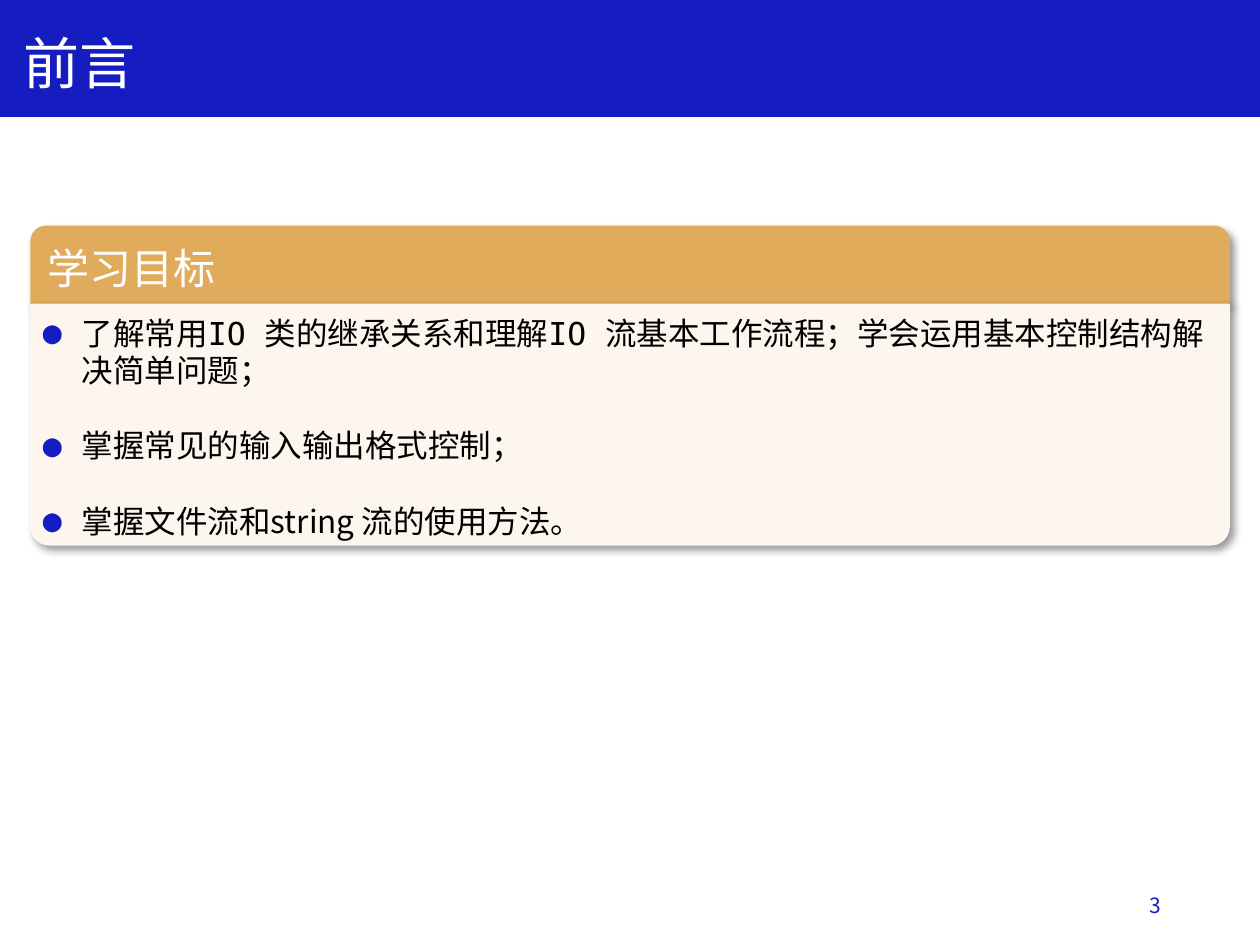
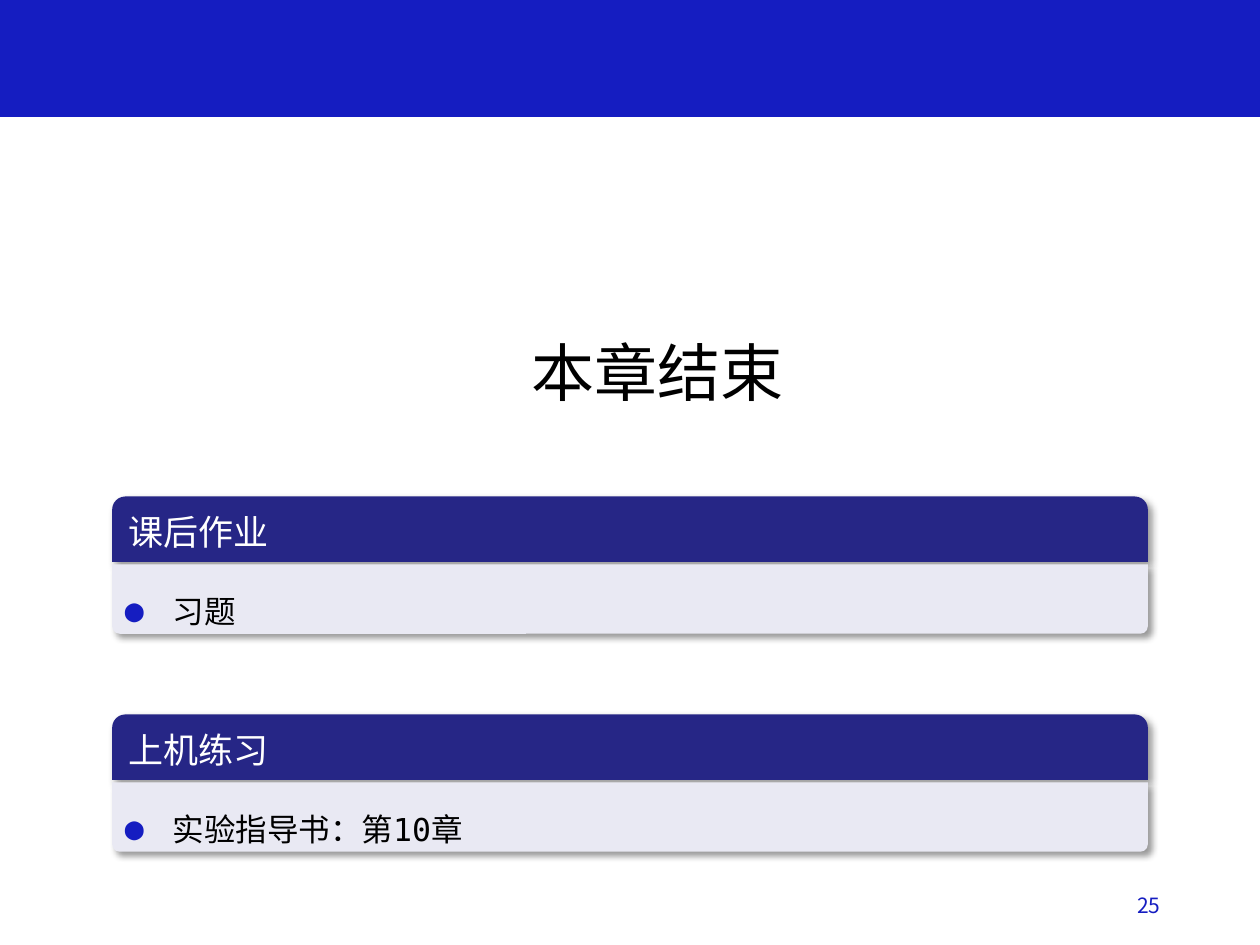
from dataclasses import dataclass

from lxml.etree import SubElement
from pptx import Presentation
from pptx.dml.color import RGBColor
from pptx.enum.shapes import MSO_SHAPE as Preset
from pptx.enum.text import MSO_ANCHOR as Anchor, PP_ALIGN as Align
from pptx.oxml import parse_xml
from pptx.oxml.ns import nsdecls, qn
from pptx.util import Inches, Pt


@dataclass(frozen=True)
class Theme:
    blue: str = "151DC1"
    navy: str = "262686"
    lavender: str = "E9E9F3"
    amber: str = "E0AB5B"
    cream: str = "FCF6EE"
    white: str = "FFFFFF"
    black: str = "000000"
    sans: str = "Noto Sans CJK SC"
    mono: str = "DejaVu Sans Mono"
    title_size: int = 32
    closing_size: int = 36
    body_size: int = 18
    number_size: int = 12
    line_pitch: float = 21.5
    inset: float = 0.1


THEME = Theme()
WIDTH, HEIGHT = 10, 7.5
BAND_HEIGHT = 0.92

GOALS = ("学习目标", [
    ("了解常用IO 类的继承关系和理解IO 流基本工作流程；学会运用基本控制结构解决简单问题；", THEME.mono),
    ("掌握常见的输入输出格式控制；", THEME.mono),
    ("掌握文件流和string 流的使用方法。", THEME.sans),
])
ASSIGNMENTS = [
    ("课后作业", [("习题", THEME.sans)]),
    ("上机练习", [("实验指导书：第10章", THEME.mono)]),
]

# Card styles: lengths in inches, radius of the lower corners included
GOALS_STYLE = dict(left=0.24, head=0.63, body=1.92, gap=-0.01, radius=0.15, top_inset=0.08,
                   indent=0.31, size=24, head_fill=THEME.amber, body_fill=THEME.cream)
ASSIGNMENT_STYLE = dict(left=0.89, head=0.52, body=0.55, gap=0.02, radius=0.06, top_inset=0.22,
                        indent=0.38, size=20, head_fill=THEME.navy, body_fill=THEME.lavender)
ASSIGNMENT_TOP, ASSIGNMENT_STEP = 3.94, 1.73


def rgb(value):
    return RGBColor.from_string(value)


def set_font(paragraph, size, color, name=THEME.sans):
    """Set the font for Latin and for Chinese text."""
    font = paragraph.font
    font.size = Pt(size)
    font.color.rgb = rgb(color)
    font.name = name
    SubElement(font._element, qn("a:ea")).set("typeface", THEME.sans)


def add_text(slide, box, text, size, color, align=Align.LEFT):
    frame = slide.shapes.add_textbox(*map(Inches, box)).text_frame
    frame.word_wrap = True
    frame.vertical_anchor = Anchor.MIDDLE
    paragraph = frame.paragraphs[0]
    paragraph.text = text
    paragraph.alignment = align
    set_font(paragraph, size, color)


def add_filled(slide, preset, box, fill):
    shape = slide.shapes.add_shape(preset, *map(Inches, box))
    shape.shadow.inherit = False
    shape.fill.solid()
    shape.fill.fore_color.rgb = rgb(fill)
    shape.line.fill.background()
    return shape


def add_card_part(slide, box, fill, corners):
    """Add a shadowed panel; corners are the top and bottom roundings."""
    shape = add_filled(slide, Preset.ROUND_2_SAME_RECTANGLE, box, fill)
    shape.adjustments[0], shape.adjustments[1] = corners
    effects = shape._element.spPr.find(qn("a:effectLst"))
    effects.append(parse_xml(
        f'<a:outerShdw {nsdecls("a")} blurRad="{Pt(4)}" dist="{Pt(3)}" dir="2700000" '
        f'algn="tl" rotWithShape="0"><a:srgbClr val="{THEME.black}">'
        '<a:alpha val="40000"/></a:srgbClr></a:outerShdw>'))
    shape.text_frame.word_wrap = True
    return shape


def add_bullet(paragraph, indent):
    properties = paragraph._p.get_or_add_pPr()
    properties.set("marL", str(Inches(indent)))
    properties.set("indent", str(-Inches(indent)))
    color = SubElement(properties, qn("a:buClr"))
    SubElement(color, qn("a:srgbClr")).set("val", THEME.blue)
    SubElement(properties, qn("a:buFont")).set("typeface", THEME.mono)
    SubElement(properties, qn("a:buChar")).set("char", "●")


def add_card(slide, top, heading, items, left, head, body, gap, radius, top_inset,
             indent, size, head_fill, body_fill):
    width = WIDTH - 2 * left
    header = add_card_part(slide, (left, top, width, head), head_fill, (0.2, 0))
    header.text_frame.vertical_anchor = Anchor.MIDDLE
    paragraph = header.text_frame.paragraphs[0]
    paragraph.text = heading
    paragraph.alignment = Align.LEFT
    set_font(paragraph, size, THEME.white)

    panel = add_card_part(slide, (left, top + head + gap, width, body),
                          body_fill, (0, radius / body))
    frame = panel.text_frame
    frame.vertical_anchor = Anchor.TOP
    # Rounded corners already push the text in by 0.29 of their radius
    frame.margin_left = frame.margin_right = Inches(THEME.inset - 0.29 * radius)
    frame.margin_top = Inches(top_inset)
    frame.margin_bottom = 0
    for index, (text, font_name) in enumerate(items):
        paragraph = frame.add_paragraph() if index else frame.paragraphs[0]
        paragraph.text = text
        paragraph.alignment = Align.LEFT
        paragraph.line_spacing = Pt(THEME.line_pitch)
        if index:
            paragraph.space_before = Pt(THEME.line_pitch)
        add_bullet(paragraph, indent)
        set_font(paragraph, THEME.body_size, THEME.black, font_name)


def add_base_slide(presentation, number):
    """Add a blank slide with the top band and its page number."""
    slide = presentation.slides.add_slide(presentation.slide_layouts[6])
    band = add_filled(slide, Preset.RECTANGLE, (0, 0, WIDTH, BAND_HEIGHT), THEME.blue)
    band.line.color.rgb = rgb(THEME.blue)
    band.line.width = Pt(1)
    add_text(slide, (7.06, 6.98, 2.25, 0.4), str(number),
             THEME.number_size, THEME.blue, Align.RIGHT)
    return slide


def main():
    presentation = Presentation()
    presentation.slide_width, presentation.slide_height = Inches(WIDTH), Inches(HEIGHT)

    preface = add_base_slide(presentation, 3)
    add_text(preface, (0.09, 0.17, 4.67, 0.64), "前言", THEME.title_size, THEME.white)
    add_card(preface, 1.79, *GOALS, **GOALS_STYLE)

    closing = add_base_slide(presentation, 25)
    add_text(closing, (1.11, 2.59, 8.21, 0.71), "本章结束",
             THEME.closing_size, THEME.black, Align.CENTER)
    for index, assignment in enumerate(ASSIGNMENTS):
        add_card(closing, ASSIGNMENT_TOP + index * ASSIGNMENT_STEP, *assignment,
                 **ASSIGNMENT_STYLE)

    presentation.save("out.pptx")


if __name__ == "__main__":
    main()
